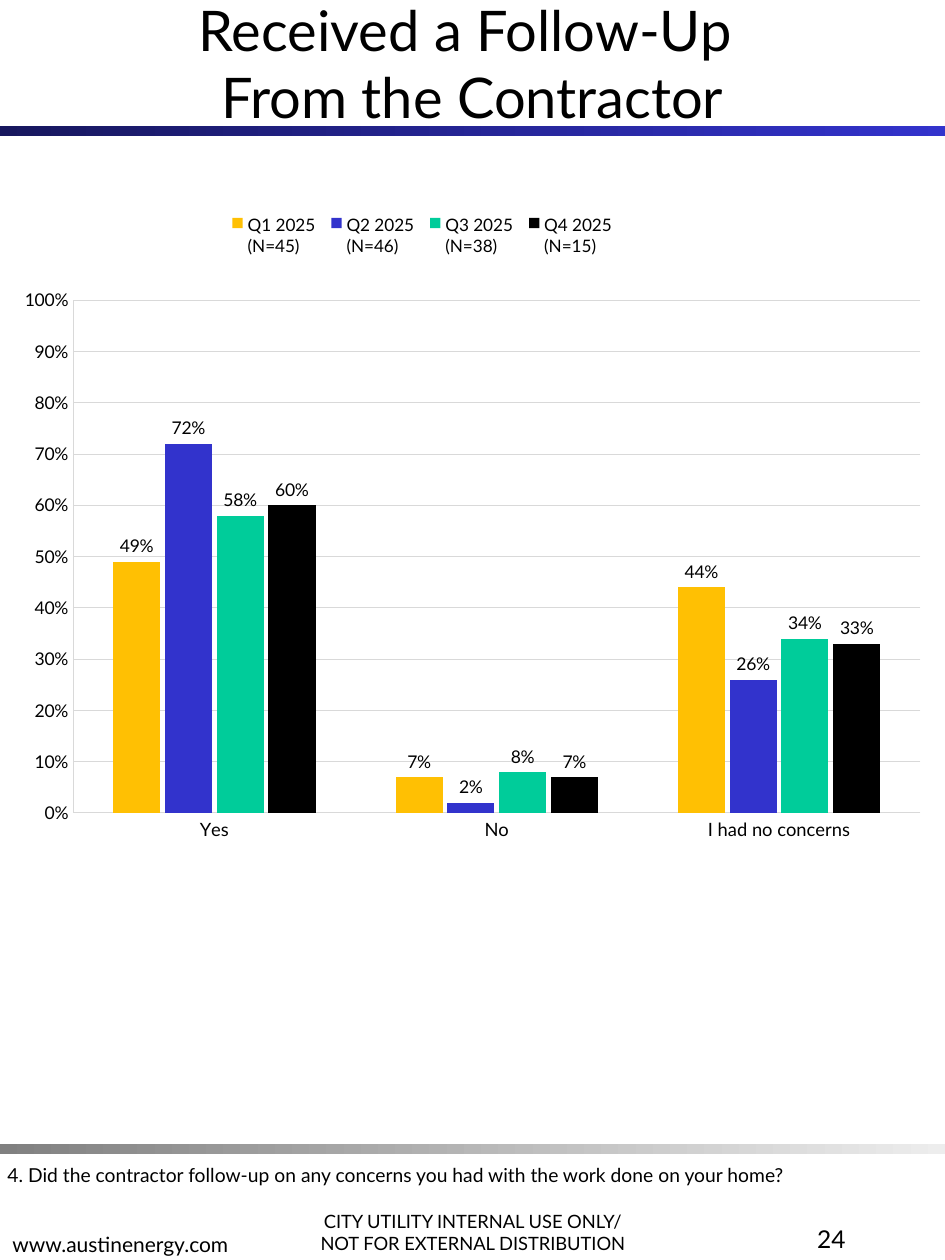
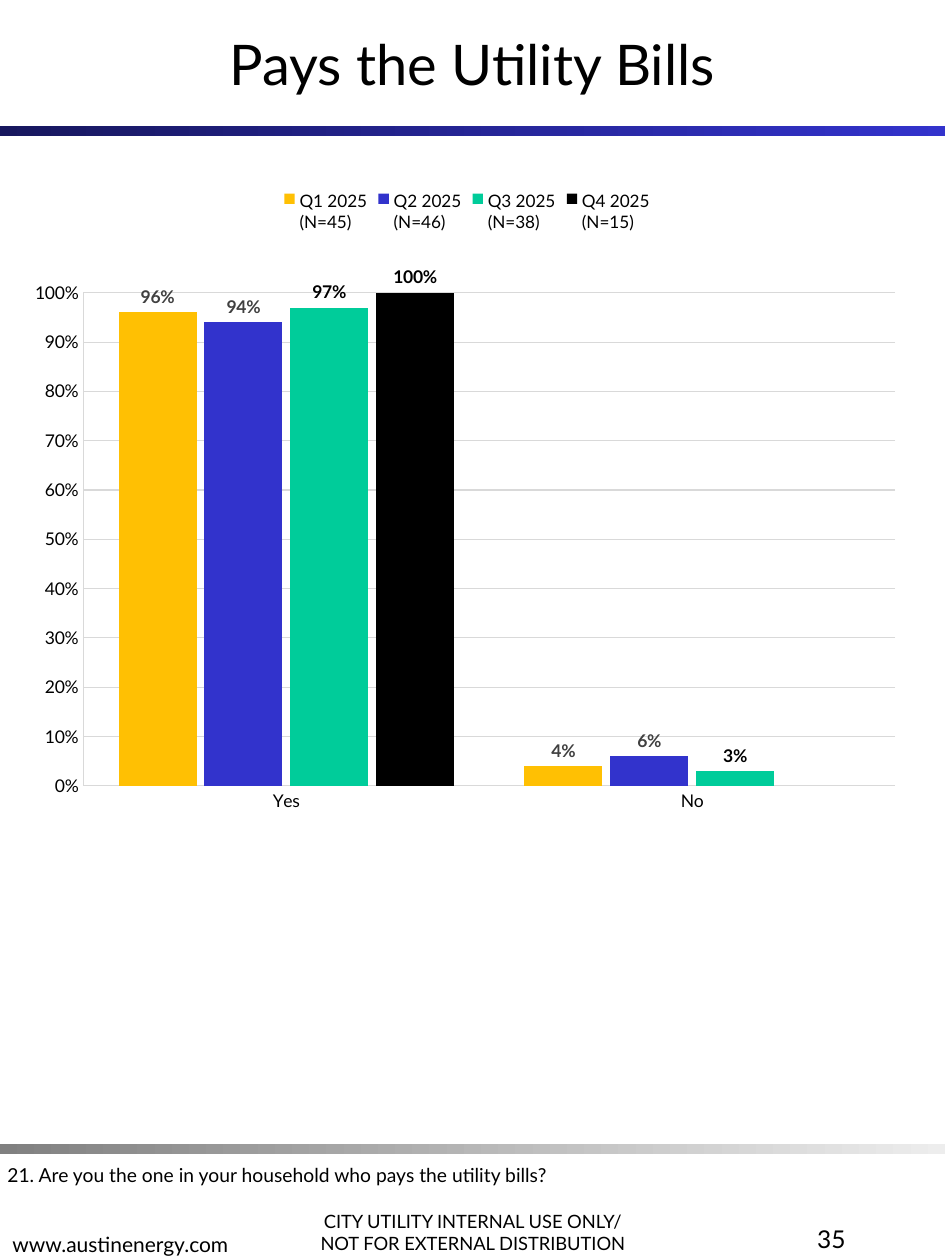
from pptx import Presentation
from pptx.chart.data import CategoryChartData
from pptx.dml.color import RGBColor
from pptx.enum.chart import (XL_CHART_TYPE as ChartType, XL_LABEL_POSITION as LabelPosition,
                             XL_LEGEND_POSITION as LegendPosition, XL_TICK_MARK as TickMark)
from pptx.enum.shapes import MSO_SHAPE as Shape
from pptx.enum.text import MSO_ANCHOR as Anchor, PP_ALIGN as Align
from pptx.oxml.xmlchemy import OxmlElement
from pptx.util import Emu, Pt

PX_PER_INCH = 126
SLIDE_WIDTH, SLIDE_HEIGHT = 945, 1260
FONT = "Lato"
COLORS = {
    "text": "000000",
    "muted": "404040",
    "grid": "D9D9D9",
    "blue_start": "17175E",
    "blue_end": "3333CC",
    "gray_start": "808080",
    "gray_end": "EDEDED",
    "q1": "FFC003",
    "q2": "3233CC",
    "q3": "00CC9A",
    "q4": "000000",
}
QUARTERS = {"q1": "Q1 2025\n(N=45)", "q2": "Q2 2025\n(N=46)",
            "q3": "Q3 2025\n(N=38)", "q4": "Q4 2025\n(N=15)"}


def px(length):
    return Emu(round(length * 914400 / PX_PER_INCH))


def rgb(name):
    return RGBColor.from_string(COLORS[name])


def set_font(font, size, color="text", bold=False):
    font.name, font.size, font.bold = FONT, Pt(size), bold
    font.color.rgb = rgb(color)


def set_line(line, width):
    line.color.rgb = rgb("grid")
    line.width = Pt(width)


def set_layout(parent, index, box, inner=False):
    """Place a chart part by fractions (x, y, w, h) of the chart area."""
    for old in parent.xpath("./c:layout"):
        parent.remove(old)
    layout = OxmlElement("c:layout")
    manual = OxmlElement("c:manualLayout")
    layout.append(manual)
    settings = [("layoutTarget", "inner")] if inner else []
    settings += [("xMode", "edge"), ("yMode", "edge"), *zip("xywh", box)]
    for tag, value in settings:
        element = OxmlElement(f"c:{tag}")
        element.set("val", str(value))
        manual.append(element)
    parent.insert(index, layout)


class SurveyDeck:
    def __init__(self):
        self.presentation = Presentation()
        self.presentation.slide_width = px(SLIDE_WIDTH)
        self.presentation.slide_height = px(SLIDE_HEIGHT)
        self.slide = None

    def add_slide(self, title, question, page_number):
        self.slide = self.presentation.slides.add_slide(self.presentation.slide_layouts[6])
        self.band(126, "blue")
        self.band(1144, "gray")
        self.text(["CITY UTILITY INTERNAL USE ONLY/", "NOT FOR EXTERNAL DISTRIBUTION"],
                  (272, 1176, 402, 84), 10.5, Align.CENTER, Anchor.BOTTOM)
        self.text(["www.austinenergy.com"], (0, 1179, 402, 84), 12, anchor=Anchor.BOTTOM)
        self.text([title], (0, 0, SLIDE_WIDTH, 126), 32, Align.CENTER, Anchor.MIDDLE)
        self.text([str(page_number)], (662, 1218, 196, 84), 14, Align.RIGHT)
        self.text([question], (-5, 1157, 863, 36), 11)

    def band(self, top, hue):
        shape = self.slide.shapes.add_shape(Shape.RECTANGLE, 0, px(top), px(SLIDE_WIDTH), px(10))
        shape.shadow.inherit = False
        shape.line.fill.background()
        shape.fill.gradient()
        shape.fill.gradient_angle = 0
        for stop, end in zip(shape.fill.gradient_stops, ("start", "end")):
            stop.color.rgb = rgb(f"{hue}_{end}")

    def text(self, lines, box, size, align=Align.LEFT, anchor=Anchor.TOP):
        frame = self.slide.shapes.add_textbox(*map(px, box)).text_frame
        frame.word_wrap = True
        frame.vertical_anchor = anchor
        for number, line in enumerate(lines):
            paragraph = frame.add_paragraph() if number else frame.paragraphs[0]
            paragraph.text = line
            paragraph.alignment = align
            set_font(paragraph.font, size)

    def column_chart(self, box, categories, values, gap, plot_box, legend_box=None,
                     category_size=10, bold=False, muted=()):
        """Draw one column series per quarter; muted lists quarters with gray labels."""
        data = CategoryChartData(number_format="0%")
        data.categories = categories
        for quarter, name in QUARTERS.items():
            data.add_series(name, values[quarter])
        chart = self.slide.shapes.add_chart(
            ChartType.COLUMN_CLUSTERED, *map(px, box), data).chart
        set_font(chart.font, 10)
        chart.has_title = False
        chart.has_legend = True
        chart.legend.position = LegendPosition.TOP
        chart.legend.include_in_layout = False
        set_font(chart.legend.font, 9.8)
        self.style_axes(chart, category_size)

        plot = chart.plots[0]
        plot.gap_width, plot.overlap, plot.vary_by_categories = gap, -10, False
        for quarter, series in zip(QUARTERS, plot.series):
            series.format.fill.solid()
            series.format.fill.fore_color.rgb = rgb(quarter)
            labels = series.data_labels
            labels.show_value = True
            labels.position = LabelPosition.OUTSIDE_END
            labels.number_format, labels.number_format_is_linked = "0%", False
            set_font(labels.font, 10, "muted" if quarter in muted else "text", bold)

        set_layout(chart.element.xpath(".//c:plotArea")[0], 0, plot_box, inner=True)
        if legend_box:
            set_layout(chart.element.xpath(".//c:legend")[0], 1, legend_box)

    def style_axes(self, chart, category_size):
        axes = ((chart.category_axis, category_size, 0.62), (chart.value_axis, 10, 0.41))
        for axis, size, line_width in axes:
            axis.major_tick_mark = axis.minor_tick_mark = TickMark.NONE
            set_font(axis.tick_labels.font, size)
            set_line(axis.format.line, line_width)
        value_axis = chart.value_axis
        value_axis.minimum_scale, value_axis.maximum_scale, value_axis.major_unit = 0, 1, 0.1
        value_axis.has_major_gridlines = True
        set_line(value_axis.major_gridlines.format.line, 0.62)
        value_axis.tick_labels.number_format = "0%"
        value_axis.tick_labels.number_format_is_linked = False


def main():
    deck = SurveyDeck()

    deck.add_slide(
        "Received a Follow-Up \vFrom the Contractor",
        "4. Did the contractor follow-up on any concerns you had with the work done on your home?",
        24)
    deck.column_chart(
        (8, 203, 931, 649), ["Yes", "No", "I had no concerns"],
        {"q1": [0.49, 0.07, 0.44], "q2": [0.72, 0.02, 0.26],
         "q3": [0.58, 0.08, 0.34], "q4": [0.6, 0.07, 0.33]},
        gap=170, plot_box=(0.07, 0.15, 0.91, 0.79), legend_box=(0.23, 0.01, 0.43, 0.08),
        category_size=10.5)

    deck.add_slide(
        "Pays the Utility Bills",
        "21. Are you the one in your household who pays the utility bills?",
        35)
    deck.column_chart(
        (21, 176, 892, 649), ["Yes", "No"],
        {"q1": [0.96, 0.04], "q2": [0.94, 0.06], "q3": [0.97, 0.03], "q4": [1, None]},
        gap=90, plot_box=(0.07, 0.18, 0.91, 0.76), bold=True, muted=("q1", "q2"))

    deck.presentation.save("out.pptx")


if __name__ == "__main__":
    main()
